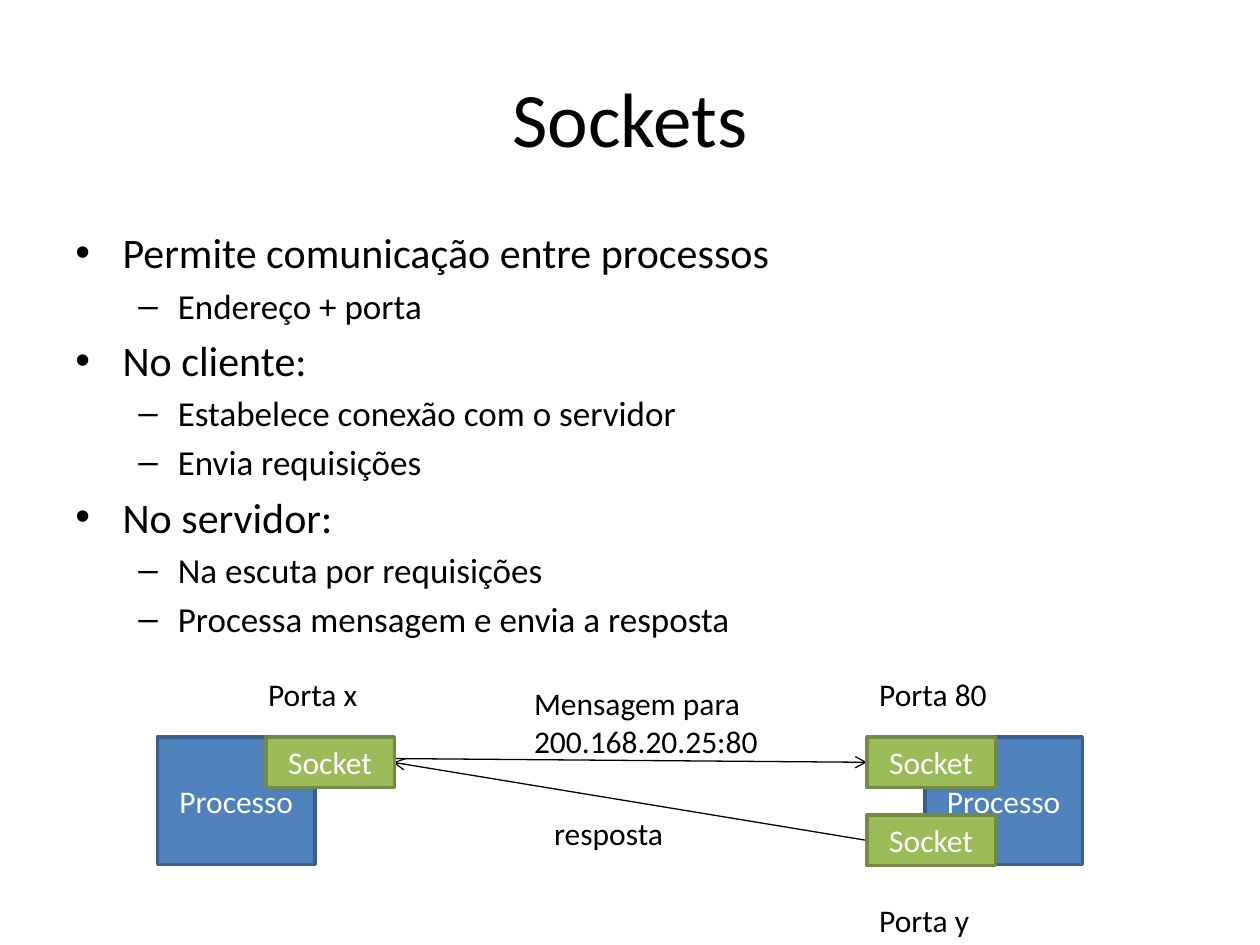
from lxml import etree
from pptx import Presentation
from pptx.dml.color import RGBColor
from pptx.enum.shapes import MSO_CONNECTOR, MSO_SHAPE
from pptx.enum.text import MSO_ANCHOR, PP_ALIGN
from pptx.oxml.ns import qn
from pptx.util import Inches, Pt

CENTER, LEFT = PP_ALIGN.CENTER, PP_ALIGN.LEFT
MIDDLE, TOP = MSO_ANCHOR.MIDDLE, MSO_ANCHOR.TOP
RECTANGLE = MSO_SHAPE.RECTANGLE
STRAIGHT = MSO_CONNECTOR.STRAIGHT

FONT = "Calibri"
COLORS = {
    "text": "000000",
    "light": "FFFFFF",
    "process": "4F81BD",
    "process_edge": "3A5F8C",
    "socket": "9BBB59",
    "socket_edge": "738A42",
}
SLIDE_WIDTH, SLIDE_HEIGHT = Inches(10), Inches(7.5)
COLUMNS, ROWS = 100, 75
PROCESS_SIZE = (12.5, 10.1)
SOCKET_SIZE = (10.2, 4)
DIAGRAM_TOP = 58.5
SERVER_LEFT = 68.8
LEVELS = [
    {"size": 24, "bullet": "•", "margin": 3.75, "indent": -3.75},
    {"size": 20, "bullet": "–", "margin": 8.13, "indent": -3.13},
]
TOPICS = [
    (0, "Permite comunicação entre processos"),
    (1, "Endereço + porta"),
    (0, "No cliente:"),
    (1, "Estabelece conexão com o servidor"),
    (1, "Envia requisições"),
    (0, "No servidor:"),
    (1, "Na escuta por requisições"),
    (1, "Processa mensagem e envia a resposta"),
]
LABELS = [
    ("Mensagem para\n200.168.20.25:80", 41.4, 53.8, 21.7, 7.1),
    ("resposta", 43, 64.1, 11.7, 4),
    ("Porta x", 20.3, 53.1, 10, 4),
    ("Porta 80", SERVER_LEFT, 53.1, 11.6, 4),
    ("Porta y", SERVER_LEFT, 71, 10, 4),
]


def across(columns):
    """Convert grid columns to a horizontal length."""
    return round(SLIDE_WIDTH * columns / COLUMNS)


def down(rows):
    """Convert grid rows to a vertical length."""
    return round(SLIDE_HEIGHT * rows / ROWS)


def place(left, top, width, height):
    """Convert a grid rectangle to slide lengths."""
    return across(left), down(top), across(width), down(height)


def color(name):
    """Look up a named colour."""
    return RGBColor.from_string(COLORS[name])


def style(paragraph, size, color_name, alignment):
    """Set the font and alignment of a paragraph."""
    paragraph.alignment = alignment
    paragraph.font.name = FONT
    paragraph.font.size = Pt(size)
    paragraph.font.color.rgb = color(color_name)


def add_text(slide, text, left, top, width, height, size=18, alignment=LEFT, anchor=TOP):
    """Add a text box with one paragraph for each line."""
    frame = slide.shapes.add_textbox(*place(left, top, width, height)).text_frame
    frame.word_wrap = True
    frame.vertical_anchor = anchor
    frame.text = text
    for paragraph in frame.paragraphs:
        style(paragraph, size, "text", alignment)
    return frame


def add_topics(slide):
    """Add the bulleted list of topics."""
    text = "\n".join(topic for _, topic in TOPICS)
    frame = add_text(slide, text, 5, 17.5, 90, 49.5)
    for paragraph, (number, _) in zip(frame.paragraphs, TOPICS):
        level = LEVELS[number]
        paragraph.level = number
        paragraph.font.size = Pt(level["size"])
        paragraph.space_before = Pt(0.2 * level["size"])
        properties = paragraph._p.get_or_add_pPr()
        properties.set("marL", str(across(level["margin"])))
        properties.set("indent", str(across(level["indent"])))
        bullet_font = etree.Element(qn("a:buFont"), typeface="Arial")
        bullet = etree.Element(qn("a:buChar"), char=level["bullet"])
        properties.find(qn("a:spcBef")).addnext(bullet_font)
        bullet_font.addnext(bullet)


def add_box(slide, text, kind, left, top, size):
    """Add a labelled process or socket box."""
    shape = slide.shapes.add_shape(RECTANGLE, *place(left, top, *size))
    shape.shadow.inherit = False
    shape.fill.solid()
    shape.fill.fore_color.rgb = color(kind)
    shape.line.color.rgb = color(f"{kind}_edge")
    shape.line.width = Pt(2)
    frame = shape.text_frame
    frame.text = text
    frame.vertical_anchor = MIDDLE
    style(frame.paragraphs[0], 18, "light", CENTER)


def add_arrow(slide, start, end):
    """Add a thin line with an open arrowhead at its end."""
    points = [length for x, y in (start, end) for length in (across(x), down(y))]
    connector = slide.shapes.add_connector(STRAIGHT, *points)
    connector.line.color.rgb = color("text")
    connector.line.width = Pt(0.75)
    etree.SubElement(connector.line._get_or_add_ln(), qn("a:tailEnd"), type="arrow")
    etree.SubElement(connector._element.spPr, qn("a:effectLst"))


def main():
    """Build and save the slide about sockets."""
    presentation = Presentation()
    presentation.slide_width, presentation.slide_height = SLIDE_WIDTH, SLIDE_HEIGHT
    slide = presentation.slides.add_slide(presentation.slide_layouts[6])
    add_text(slide, "Sockets", 5, 3, 90, 12.5, 44, CENTER, MIDDLE)
    add_topics(slide)
    add_arrow(slide, (30.5, 60.2), (SERVER_LEFT, 60.5))
    add_arrow(slide, (SERVER_LEFT, 66.7), (31.2, 60.5))
    for left in (12.5, 73.4):
        add_box(slide, "Processo", "process", left, DIAGRAM_TOP, PROCESS_SIZE)
    for left, top in ((21.1, DIAGRAM_TOP), (SERVER_LEFT, DIAGRAM_TOP), (SERVER_LEFT, 64.7)):
        add_box(slide, "Socket", "socket", left, top, SOCKET_SIZE)
    for label in LABELS:
        add_text(slide, *label)
    presentation.save("out.pptx")


if __name__ == "__main__":
    main()
